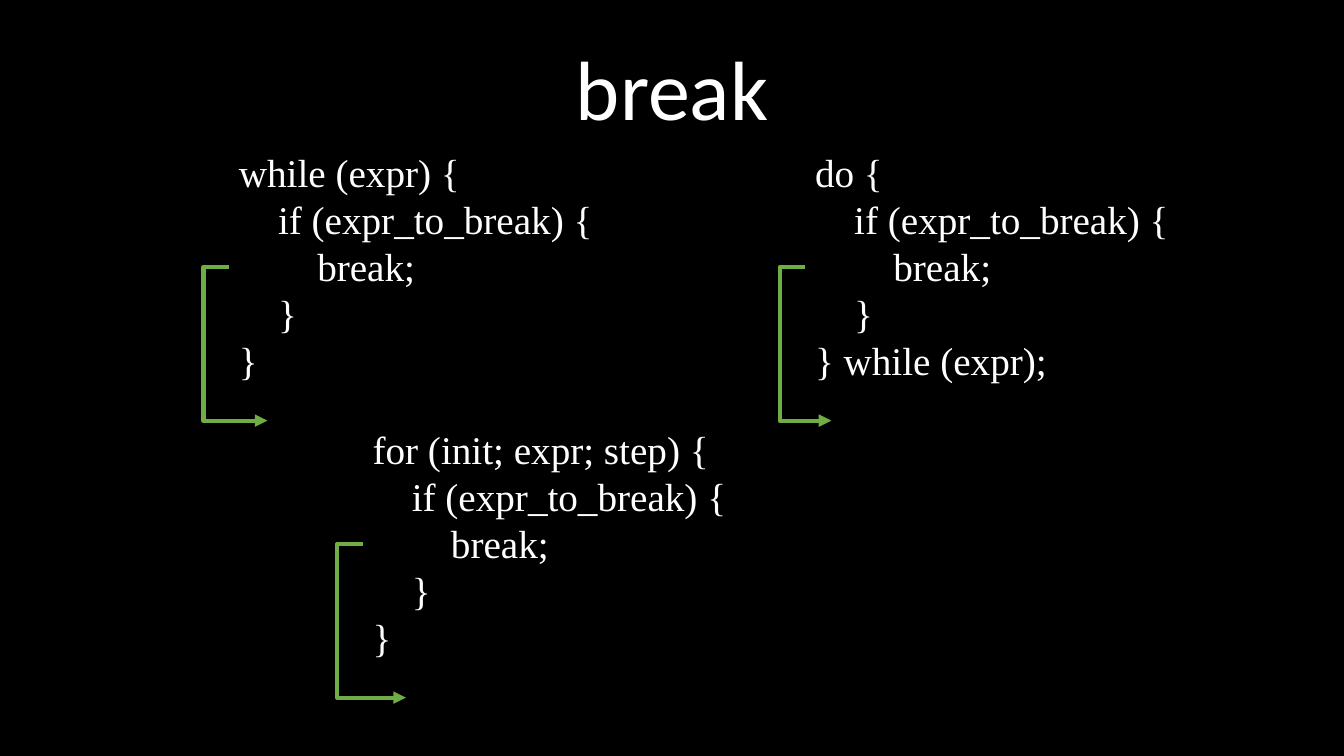
from lxml.etree import SubElement
from pptx import Presentation
from pptx.dml.color import RGBColor
from pptx.enum.shapes import MSO_CONNECTOR
from pptx.enum.text import MSO_ANCHOR, PP_ALIGN
from pptx.oxml.ns import qn
from pptx.util import Cm, Pt

BLACK = RGBColor(0x00, 0x00, 0x00)
WHITE = RGBColor(0xFF, 0xFF, 0xFF)
GREEN = RGBColor(0x70, 0xAD, 0x47)

BODY = [(1, "if (expr_to_break) {"), (2, "break;"), (1, "}")]
LOOPS = [
    (5.77, 3.61, 0.97, "while (expr) {", "}"),
    (20.29, 3.61, 0.66, "do {", "} while (expr);"),
    (9.14, 10.59, 1.09, "for (init; expr; step) {", "}"),
]
BEND = 0.64


def add_text(left, top, width, height):
    tf = s.shapes.add_textbox(Cm(left), Cm(top), Cm(width), Cm(height)).text_frame
    tf.word_wrap = True
    return tf


def style(p, font, size):
    p.font.name = font
    p.font.size = Pt(size)
    p.font.color.rgb = WHITE


prs = Presentation()
prs.slide_width = Cm(33.87)
prs.slide_height = Cm(19.05)
s = prs.slides.add_slide(prs.slide_layouts[6])
s.background.fill.solid()
s.background.fill.fore_color.rgb = BLACK

tf = add_text(4.42, 0.38, 25.04, 3.23)
tf.vertical_anchor = MSO_ANCHOR.BOTTOM
p = tf.paragraphs[0]
p.text = "break"
p.alignment = PP_ALIGN.CENTER
p.line_spacing = 0.9
style(p, "Calibri", 60)

for left, top, reach, head, foot in LOOPS:
    tf = add_text(left, top, 9.78, 6.25)
    for i, (level, code) in enumerate([(0, head), *BODY, (0, foot)]):
        p = tf.paragraphs[0] if i == 0 else tf.add_paragraph()
        p.text = code
        style(p, "Times New Roman", 28)
        pPr = p._p.get_or_add_pPr()
        pPr.set("marL", str(level * Pt(28)))
        pPr.set("indent", "0")

    start = top + 3.12
    arrow = s.shapes.add_connector(
        MSO_CONNECTOR.ELBOW, Cm(left), Cm(start), Cm(left + reach), Cm(start + 3.87)
    )
    arrow.line.color.rgb = GREEN
    arrow.line.width = Pt(3)
    SubElement(arrow.line._get_or_add_ln(), qn("a:tailEnd"), type="triangle")
    spPr = arrow._element.spPr
    SubElement(spPr, qn("a:effectLst"))
    bend = round(-BEND / reach * 100000)
    SubElement(spPr.find(".//" + qn("a:avLst")), qn("a:gd"), name="adj1", fmla=f"val {bend}")

prs.save("out.pptx")
